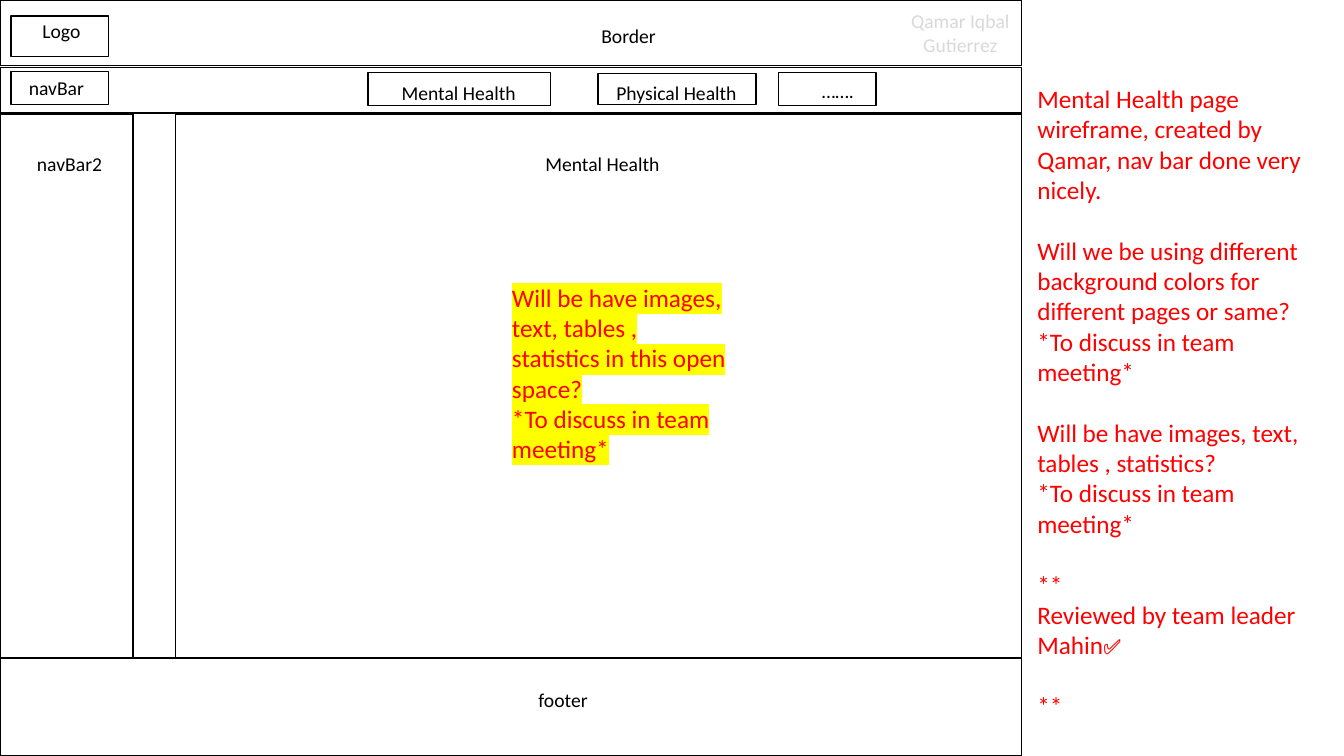
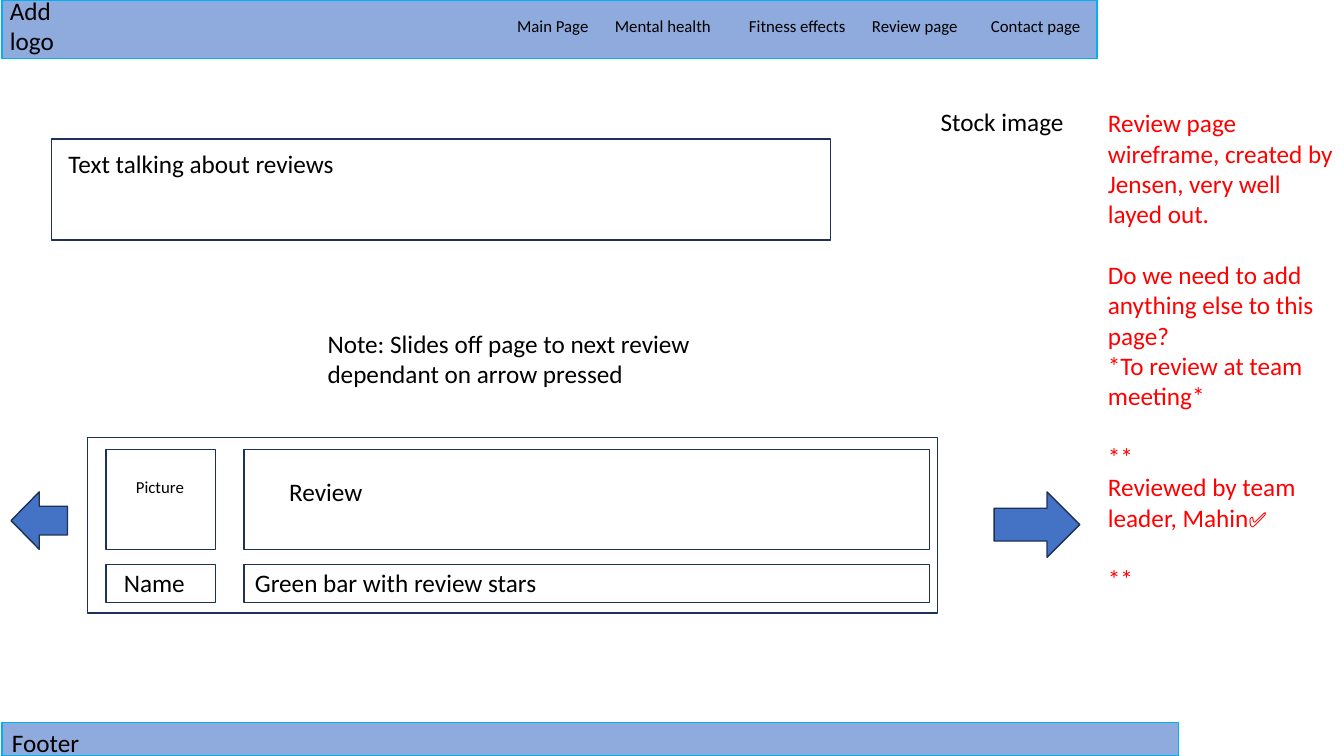
from dataclasses import dataclass

from lxml import etree
from pptx import Presentation
from pptx.dml.color import RGBColor
from pptx.enum.shapes import MSO_SHAPE
from pptx.enum.text import PP_ALIGN
from pptx.oxml.ns import qn
from pptx.util import Inches, Pt

RECTANGLE = MSO_SHAPE.RECTANGLE
LEFT_ARROW = MSO_SHAPE.LEFT_ARROW
RIGHT_ARROW = MSO_SHAPE.RIGHT_ARROW
LEFT = PP_ALIGN.LEFT
CENTER = PP_ALIGN.CENTER

COLORS = {
    "white": "FFFFFF",
    "black": "000000",
    "pale_gray": "D9D9D9",
    "comment": "FF0000",
    "highlight": "FFFF00",
    "band": "8FAADC",
    "band_line": "00B0F0",
    "arrow": "4472C4",
    "outline": "1E3256",
}
TEXT_FONT = "Calibri"
CHECK_FONT = "Arial"
CHECK_MARK = "✅"
GROUP_GAP = 22


@dataclass
class Box:
    """A rectangle in inches."""
    left: float
    top: float
    width: float
    height: float

    def inside(self, left, top, width, height):
        """Return a box placed relative to this one."""
        return Box(self.left + left, self.top + top, width, height)

    def lengths(self):
        """Return position and size as slide lengths."""
        return [Inches(value) for value in (self.left, self.top, self.width, self.height)]


def color(name):
    """Return a palette colour."""
    return RGBColor.from_string(COLORS[name])


def add_panel(slide, box, fill=None, line="outline", kind=RECTANGLE):
    """Draw an outlined preset shape, filled if a colour is named."""
    shape = slide.shapes.add_shape(kind, *box.lengths())
    shape.shadow.inherit = False
    if fill:
        shape.fill.solid()
        shape.fill.fore_color.rgb = color(fill)
    else:
        shape.fill.background()
    shape.line.color.rgb = color(line)
    shape.line.width = Pt(1)


def format_run(run, size, color_name, font=TEXT_FONT):
    """Set the font of one run."""
    run.font.size = Pt(size)
    run.font.name = font
    run.font.color.rgb = color(color_name)


def add_label(slide, box, text, size=18, color_name="black", align=LEFT):
    """Place a wrapped text box and return its frame."""
    frame = slide.shapes.add_textbox(*box.lengths()).text_frame
    frame.word_wrap = True
    frame.text = text
    for paragraph in frame.paragraphs:
        paragraph.alignment = align
        for run in paragraph.runs:
            format_run(run, size, color_name)
    return frame


def add_comments(slide, box, groups):
    """Write groups of red review comments with a gap between groups."""
    lines = [line for group in groups for line in group]
    frame = add_label(slide, box, "\n".join(lines), color_name="comment")
    starts = {id(group[0]) for group in groups[1:]}
    for line, paragraph in zip(lines, frame.paragraphs):
        if id(line) in starts:
            paragraph.space_before = Pt(GROUP_GAP)
        if line.endswith(CHECK_MARK):
            paragraph.runs[0].text = line.removesuffix(CHECK_MARK)
            check = paragraph.add_run()
            check.text = CHECK_MARK
            format_run(check, 15, "comment", CHECK_FONT)
    return frame


def highlight(frame):
    """Mark every run of a frame with the highlight colour."""
    for paragraph in frame.paragraphs:
        for run in paragraph.runs:
            properties = run.font._element
            mark = etree.Element(qn("a:highlight"))
            etree.SubElement(mark, qn("a:srgbClr"), val=COLORS["highlight"])
            properties.find(qn("a:solidFill")).addnext(mark)


def add_framed(slide, panel, label, text):
    """Draw a white panel and its centred label."""
    add_panel(slide, panel, "white", "black")
    add_label(slide, label, text, 14, align=CENTER)


def add_border_region(slide, box):
    """Draw the top border with logo and author."""
    add_framed(slide, box, box.inside(5.22, 0.19, 2.03, 0.34), "Border")
    add_framed(slide, box.inside(0.11, 0.16, 0.97, 0.4),
               box.inside(0.18, 0.14, 0.86, 0.34), "Logo")
    add_label(slide, box.inside(8.93, 0.04, 1.19, 0.57),
              "Qamar Iqbal Gutierrez", 14, "pale_gray", CENTER)


def add_navigation_region(slide, box):
    """Draw the navigation bar and its buttons."""
    add_panel(slide, box, "white", "black")
    buttons = [
        ("navBar", 0.11, 0.97, 0.04, 0.03, 1.03),
        ("Mental Health", 3.65, 1.81, 0.05, 0.08, 4.55),
        ("Physical Health", 5.93, 1.57, 0.06, 0.08, 6.71),
        ("…….", 7.72, 0.97, 0.05, 0.06, 8.31),
    ]
    buttons[0] = ("navBar", 0.11, 0.97, 0.04, 0.03, 0.56)
    for text, left, width, top, text_top, center in buttons:
        add_framed(slide, box.inside(left, top, width, 0.33 if top < 0.06 else 0.31),
                   box.inside(center - 0.8, text_top, 1.6, 0.34), text)


def add_content_region(slide, box):
    """Draw the side bar and main area with its highlighted question."""
    add_framed(slide, box.inside(1.74, 0, box.width - 1.74, box.height),
               box.inside(2.57, 0.33, 6.81, 0.34), "Mental Health")
    add_framed(slide, box.inside(0, 0, 1.32, box.height),
               box.inside(0.11, 0.33, 1.16, 0.34), "navBar2")
    question = add_comments(slide, box.inside(4.98, 1.62, 2.36, 1.92), [[
        "Will be have images, text, tables , statistics in this open space?",
        "*To discuss in team meeting*",
    ]])
    highlight(question)


def build_mental_health_slide(slide, page):
    """Build the mental health wireframe."""
    width = 10.13
    add_border_region(slide, page.inside(0, 0, width, 0.65))
    add_navigation_region(slide, page.inside(0, 0.67, width, 0.45))
    add_content_region(slide, page.inside(0, 1.13, width, 5.4))
    footer = page.inside(0, 6.53, width, 0.97)
    add_framed(slide, footer, footer.inside(2.18, 0.25, 6.81, 0.34), "footer")
    add_comments(slide, page.inside(10.19, 0.78, 3.12, 6.16), [
        ["Mental Health page wireframe, created by Qamar, nav bar done very nicely."],
        ["Will we be using different background colors for different pages or same?",
         "*To discuss in team meeting*"],
        ["Will be have images, text, tables , statistics?",
         "*To discuss in team meeting*"],
        ["**", "Reviewed by team leader Mahin✅", "**"],
    ])


def add_menu_band(slide, box):
    """Draw the top band with a tabbed row of page names."""
    add_panel(slide, box, "band", "band_line")
    add_label(slide, box.inside(-0.02, -0.1, 0.86, 1.01), "Add logo")
    pages = ["Main Page", "Mental health", "Fitness effects", "Review page", "Contact page"]
    menu = add_label(slide, box.inside(5.01, 0.11, 5.85, 0.3), "\t".join(pages), 12)
    properties = menu.paragraphs[0]._p.get_or_add_pPr()
    tabs = etree.SubElement(properties, qn("a:tabLst"))
    for position in (0.97, 2.3, 3.52, 4.7):
        etree.SubElement(tabs, qn("a:tab"), pos=str(Inches(position)), algn="l")


def add_review_card(slide, box):
    """Draw the review card as a grid of two columns and two rows."""
    add_panel(slide, box)
    for left, width in ((0.18, 1.09), (1.55, 6.8)):
        for top, height in ((0.12, 0.99), (1.26, 0.38)):
            add_panel(slide, box.inside(left, top, width, height))
    add_label(slide, box.inside(0.38, 0.34, 0.74, 0.3), "Picture", 12)
    add_label(slide, box.inside(1.9, 0.34, 4.88, 0.4), "Review")
    add_label(slide, box.inside(0.26, 1.24, 0.9, 0.4), "Name")
    add_label(slide, box.inside(1.56, 1.24, 6.8, 0.4), "Green bar with review stars")


def build_review_slide(slide, page):
    """Build the review page wireframe."""
    add_menu_band(slide, page.inside(0.02, 0, 10.86, 0.58))
    introduction = page.inside(0.51, 1.38, 7.73, 1)
    add_panel(slide, introduction)
    add_label(slide, introduction.inside(0.07, 0.04, 6.4, 0.4), "Text talking about reviews")
    add_label(slide, page.inside(9.23, 1.01, 1.65, 0.4), "Stock image")
    add_label(slide, page.inside(3.15, 3.21, 4.62, 0.71),
              "Note: Slides off page to next review dependant on arrow pressed")
    add_review_card(slide, page.inside(0.87, 4.34, 8.43, 1.74))
    add_panel(slide, page.inside(0.11, 4.88, 0.56, 0.57), "arrow", kind=LEFT_ARROW)
    add_panel(slide, page.inside(9.86, 4.88, 0.85, 0.65), "arrow", kind=RIGHT_ARROW)
    footer = page.inside(0.02, 7.17, 11.67, 0.33)
    add_panel(slide, footer, "band", "band_line")
    add_label(slide, footer.inside(0, 0, 1.96, 0.33), "Footer")
    add_comments(slide, page.inside(10.89, 1.02, 2.44, 4.64), [
        ["Review page wireframe, created by Jensen, very well layed out."],
        ["Do we need to add anything else to this page?", "*To review at team meeting*"],
        ["**", "Reviewed by team leader, Mahin✅", "**"],
    ])


def main():
    """Create and save the presentation."""
    presentation = Presentation()
    page = Box(0, 0, 13.33, 7.5)
    presentation.slide_width = Inches(page.width)
    presentation.slide_height = Inches(page.height)
    for build in (build_mental_health_slide, build_review_slide):
        build(presentation.slides.add_slide(presentation.slide_layouts[6]), page)
    presentation.save("out.pptx")


if __name__ == "__main__":
    main()
